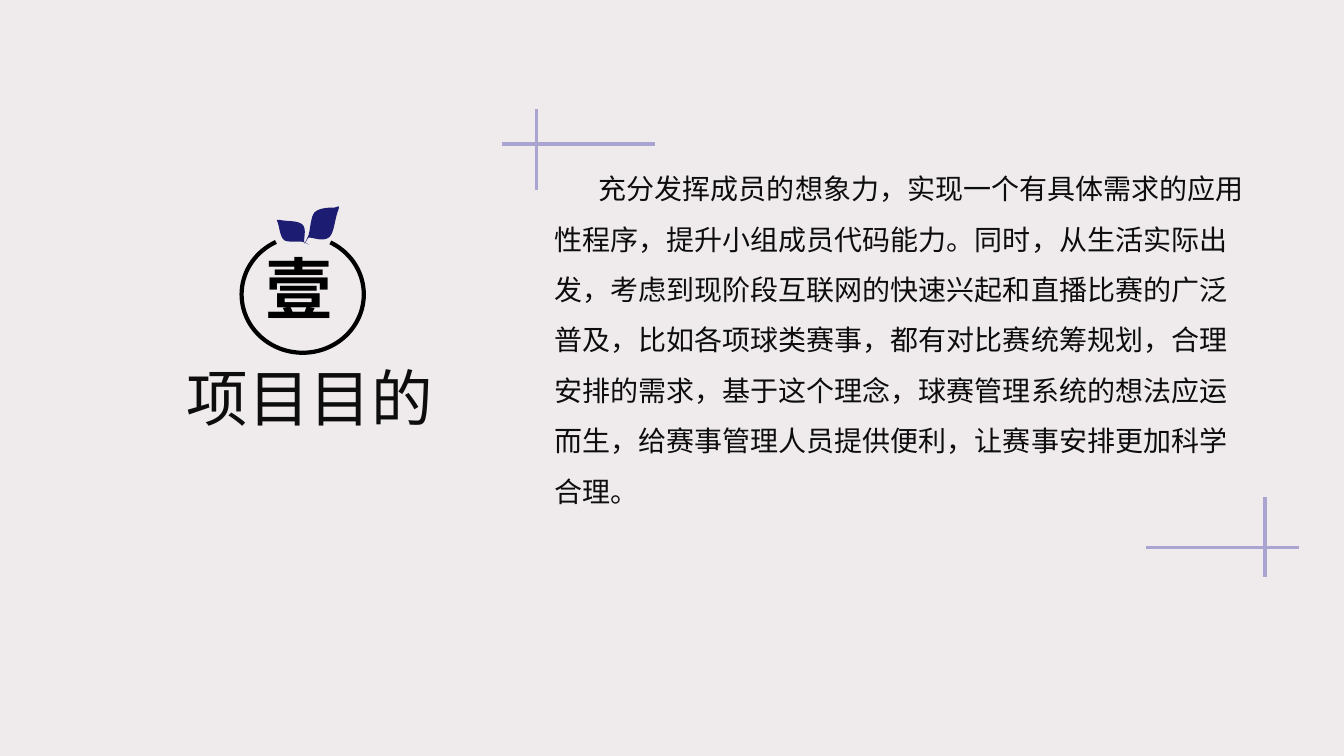
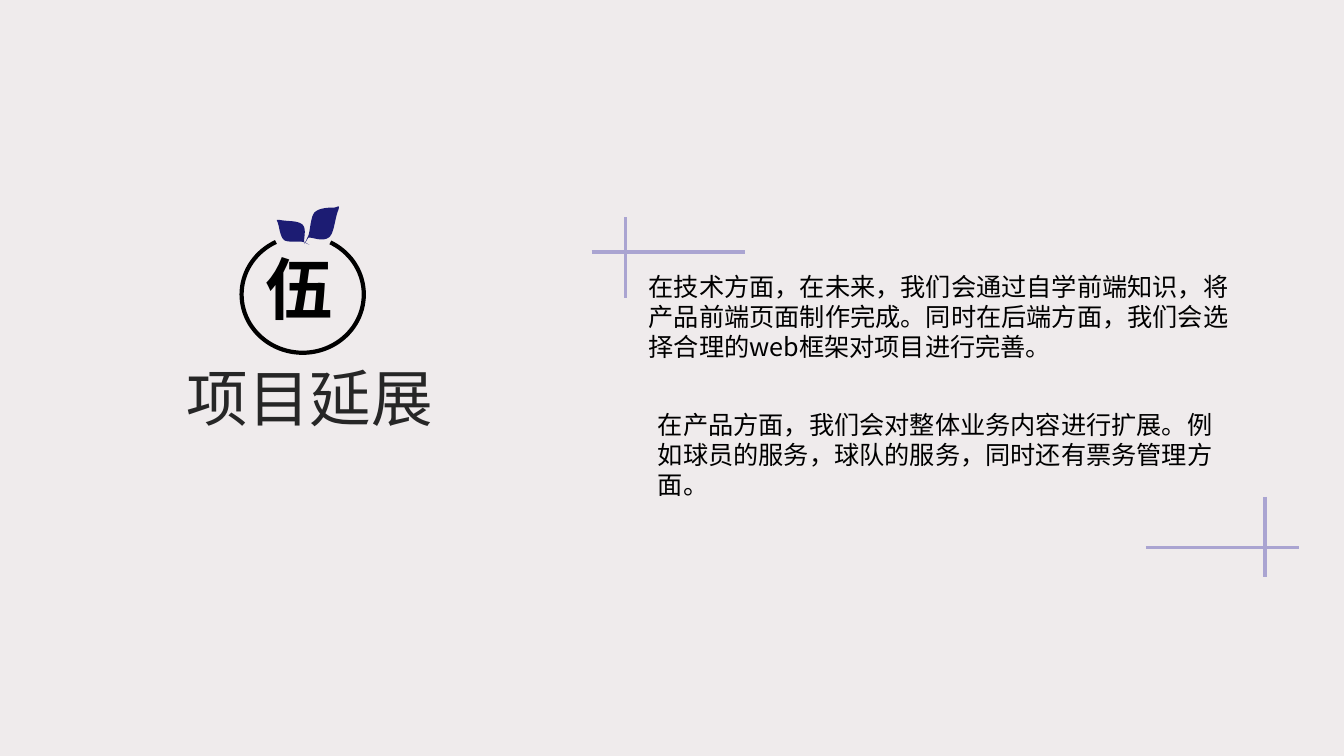
from dataclasses import dataclass

from lxml import etree
from pptx import Presentation
from pptx import util as u
from pptx.dml.color import RGBColor
from pptx.enum import shapes, text
from pptx.oxml import ns


# Theme
@dataclass(frozen=True)
class Theme:
    font: str = "Noto Sans CJK SC"
    background: str = "EFEBEC"
    ink: str = "000000"
    soft_ink: str = "0D0D0D"
    grey_ink: str = "262626"
    leaf: str = "1C1C73"
    cross: str = "AAA4D1"
    number_size: int = 48
    title_size: int = 44
    body_size: int = 20
    note_size: int = 18
    cross_width: float = 2.25
    ring_width: float = 3


THEME = Theme()


# Repeated elements, all lengths in centimetres
@dataclass(frozen=True)
class Box:
    left: float
    top: float
    width: float
    height: float

    def lengths(self) -> list[u.Length]:
        return [u.Cm(n) for n in (self.left, self.top, self.width, self.height)]


@dataclass(frozen=True)
class Cross:
    x: float
    y: float
    left: float
    right: float
    up: float
    down: float


@dataclass(frozen=True)
class Leaf:
    """A tip, the point where the blade starts, and cubic curves around it."""
    tip: tuple
    start: tuple
    curves: tuple


@dataclass(frozen=True)
class Body:
    box: Box
    words: str
    size: int
    color: str
    spacing: float = 1.0
    indent: float = 0


@dataclass(frozen=True)
class Section:
    number: str
    title: str
    title_color: str
    opening: tuple
    bodies: tuple


TITLE_BOX = Box(0.71, 8.94, 14.2, 2.13)
NUMBER_BOX = Box(6.45, 6.12, 2.54, 2.31)
RING_BOX = Box(6.09, 5.95, 3.08, 2.94)
RING_START, RING_END = 298, 243
CLOSING_CROSS = Cross(31.88, 13.79, left=3, right=0.86, up=1.27, down=0.74)
LEAVES = (
    Leaf((7.8, 6.17), (7.65, 6.1), (
        ((7.54, 6.07), (7.26, 6.12), (7.16, 6.05)),
        ((7.06, 5.97), (7.04, 5.72), (7.01, 5.64)),
        ((6.99, 5.54), (6.93, 5.54), (7.04, 5.54)),
        ((7.24, 5.59), (7.54, 5.54), (7.65, 5.69)),
        ((7.72, 5.82), (7.65, 6.02), (7.67, 6.1)))),
    Leaf((7.67, 6.15), (7.77, 5.94), (
        ((7.82, 5.82), (7.82, 5.49), (7.92, 5.36)),
        ((8.03, 5.23), (8.33, 5.23), (8.43, 5.23)),
        ((8.53, 5.21), (8.56, 5.16), (8.53, 5.28)),
        ((8.43, 5.51), (8.43, 5.89), (8.28, 5.99)),
        ((8.1, 6.1), (7.87, 5.97), (7.77, 5.99)))),
)

SECTIONS = (
    Section("壹", "项目目的", THEME.soft_ink, (13.51, 3.63), (
        Body(Box(13.72, 3.78, 17.98, 9.22),
             "充分发挥成员的想象力，实现一个有具体需求的应用性程序，提升小组成员代码能力。"
             "同时，从生活实际出发，考虑到现阶段互联网的快速兴起和直播比赛的广泛普及，"
             "比如各项球类赛事，都有对比赛统筹规划，合理安排的需求，基于这个理念，"
             "球赛管理系统的想法应运而生，给赛事管理人员提供便利，让赛事安排更加科学合理。",
             THEME.body_size, THEME.soft_ink, spacing=1.5, indent=1.12),)),
    Section("伍", "项目延展", THEME.grey_ink, (15.77, 6.35), (
        Body(Box(16.1, 6.71, 15.27, 2.57),
             "在技术方面，在未来，我们会通过自学前端知识，将产品前端页面制作完成。"
             "同时在后端方面，我们会选择合理的web框架对项目进行完善。",
             THEME.note_size, THEME.ink),
        Body(Box(16.33, 10.19, 14.96, 2.57),
             "在产品方面，我们会对整体业务内容进行扩展。"
             "例如球员的服务，球队的服务，同时还有票务管理方面。",
             THEME.note_size, THEME.ink))),
)


# Drawing functions
def rgb(color: str) -> RGBColor:
    return RGBColor.from_string(color)


def add_text(slide, box: Box, words: str, *, size: int, color: str,
             bold: bool = False, align=text.PP_ALIGN.LEFT,
             spacing: float = 1.0, indent: float = 0) -> None:
    shape = slide.shapes.add_textbox(*box.lengths())
    frame = shape.text_frame
    frame.word_wrap = True
    frame.auto_size = text.MSO_AUTO_SIZE.SHAPE_TO_FIT_TEXT
    paragraph = frame.paragraphs[0]
    paragraph.alignment = align
    paragraph.line_spacing = spacing
    if indent:
        paragraph._p.get_or_add_pPr().set("indent", str(u.Cm(indent)))
    run = paragraph.add_run()
    run.text = words
    run.font.size = u.Pt(size)
    run.font.bold = bold
    run.font.name = THEME.font
    run.font.color.rgb = rgb(color)
    east_asian = etree.SubElement(run._r.get_or_add_rPr(), ns.qn("a:ea"))
    east_asian.set("typeface", THEME.font)


def add_line(slide, x1: float, y1: float, x2: float, y2: float) -> None:
    connector = slide.shapes.add_connector(
        shapes.MSO_CONNECTOR.STRAIGHT, u.Cm(x1), u.Cm(y1), u.Cm(x2), u.Cm(y2))
    connector.line.color.rgb = rgb(THEME.cross)
    connector.line.width = u.Pt(THEME.cross_width)
    etree.SubElement(connector._element.spPr, ns.qn("a:effectLst"))


def add_cross(slide, cross: Cross) -> None:
    add_line(slide, cross.x - cross.left, cross.y, cross.x + cross.right, cross.y)
    add_line(slide, cross.x, cross.y - cross.up, cross.x, cross.y + cross.down)


def curve_points(start: tuple, curve: tuple, steps: int = 10) -> list[tuple]:
    points = []
    for step in range(1, steps + 1):
        t = step / steps
        weights = ((1 - t) ** 3, 3 * t * (1 - t) ** 2, 3 * t * t * (1 - t), t ** 3)
        points.append(tuple(
            sum(weight * point[axis] for weight, point in zip(weights, (start, *curve)))
            for axis in (0, 1)))
    return points


def add_leaf(slide, leaf: Leaf) -> None:
    points = [leaf.start]
    for curve in leaf.curves:
        points += curve_points(points[-1], curve)
    builder = slide.shapes.build_freeform(*(u.Cm(n) for n in leaf.tip))
    builder.add_line_segments([(u.Cm(x), u.Cm(y)) for x, y in points])
    shape = builder.convert_to_shape()
    shape.shadow.inherit = False
    shape.fill.solid()
    shape.fill.fore_color.rgb = rgb(THEME.leaf)
    shape.line.fill.background()


def add_ring(slide) -> None:
    shape = slide.shapes.add_shape(shapes.MSO_SHAPE.ARC, *RING_BOX.lengths())
    shape.shadow.inherit = False
    # An angle adjustment counts 0.6 for each degree
    shape.adjustments[0] = RING_START * 0.6
    shape.adjustments[1] = RING_END * 0.6
    shape.fill.background()
    shape.line.color.rgb = rgb(THEME.ink)
    shape.line.width = u.Pt(THEME.ring_width)


def add_section(presentation, section: Section) -> None:
    slide = presentation.slides.add_slide(presentation.slide_layouts[6])
    slide.background.fill.solid()
    slide.background.fill.fore_color.rgb = rgb(THEME.background)

    # Title and corner crosses
    add_text(slide, TITLE_BOX, section.title, size=THEME.title_size,
             color=section.title_color, align=text.PP_ALIGN.CENTER)
    add_cross(slide, Cross(*section.opening, left=0.86, right=3, up=0.87, down=1.15))
    add_cross(slide, CLOSING_CROSS)

    # Numbered fruit badge
    for leaf in LEAVES:
        add_leaf(slide, leaf)
    add_ring(slide)
    add_text(slide, NUMBER_BOX, section.number, size=THEME.number_size,
             color=THEME.ink, bold=True)

    # Body text
    for body in section.bodies:
        add_text(slide, body.box, body.words, size=body.size, color=body.color,
                 spacing=body.spacing, indent=body.indent)


def main() -> None:
    presentation = Presentation()
    presentation.slide_width = u.Cm(33.87)
    presentation.slide_height = u.Cm(19.05)
    for section in SECTIONS:
        add_section(presentation, section)
    presentation.save("out.pptx")


if __name__ == "__main__":
    main()
